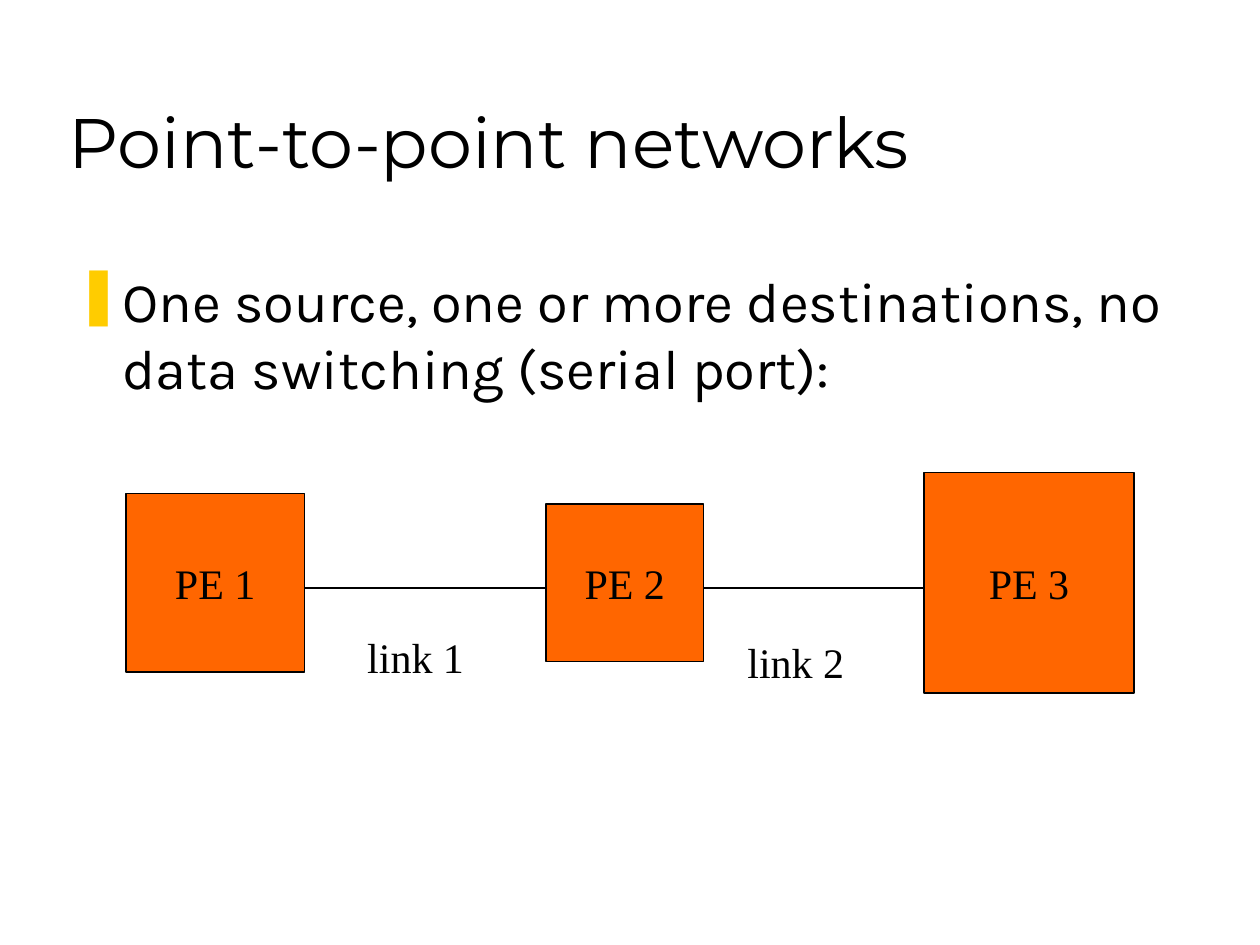
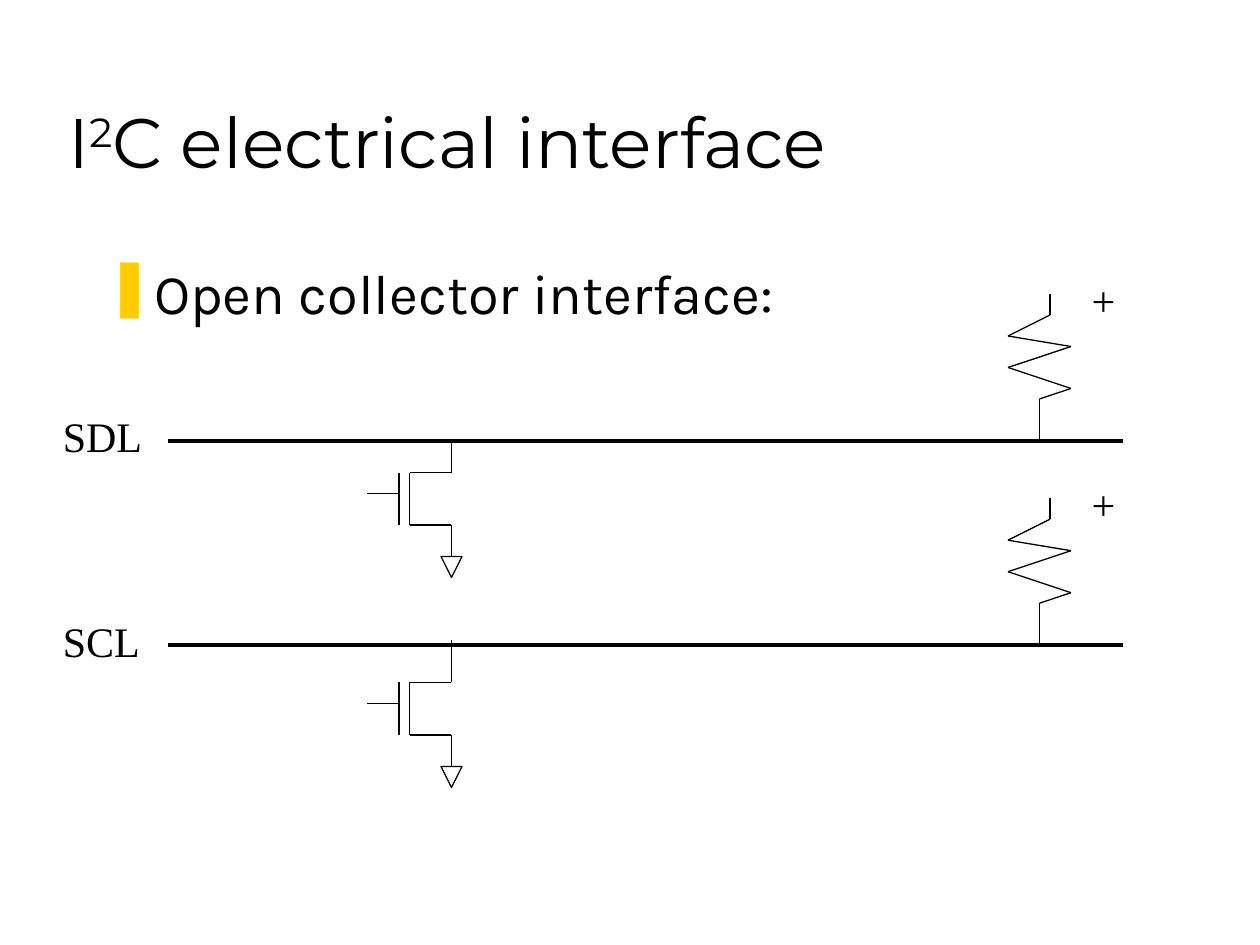
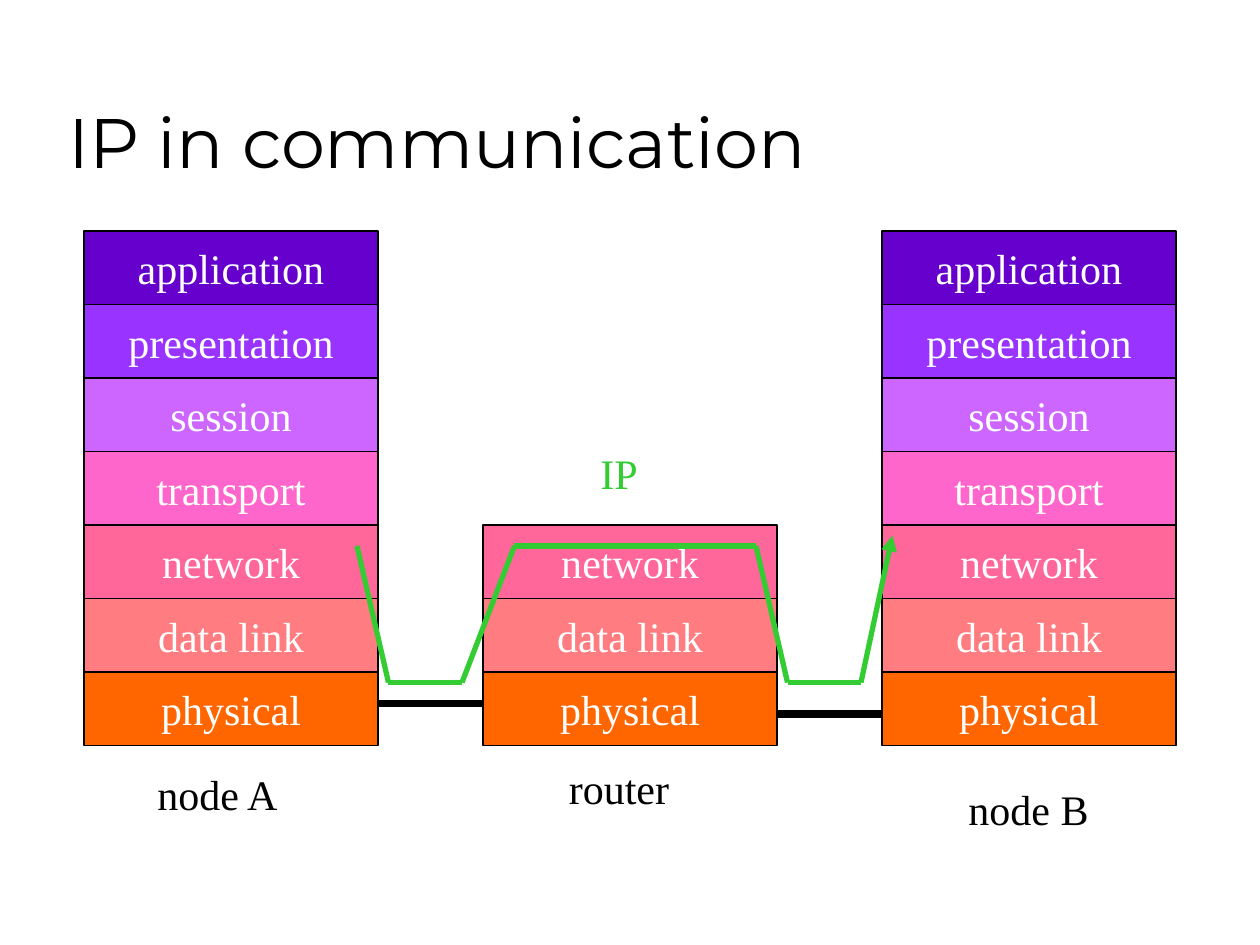
from itertools import pairwise

from lxml import etree
from pptx import Presentation
from pptx import util as u
from pptx.dml.color import RGBColor
from pptx.enum import shapes, text
from pptx.oxml import ns

BLACK = RGBColor(0x00, 0x00, 0x00)
WHITE = RGBColor(0xFF, 0xFF, 0xFF)
ORANGE = RGBColor(0xFF, 0x66, 0x00)
YELLOW = RGBColor(0xFF, 0xCC, 0x00)
GREEN = RGBColor(0x33, 0xCC, 0x33)

TITLE_FONT, BODY_FONT, LABEL_FONT = "Montserrat", "Karla", "Times New Roman"
TITLE_SIZE, BODY_SIZE, LABEL_SIZE = 40, 32, 24
THIN, WIRE, PATH, CABLE = 0.75, 2.25, 3, 4.5

SLIDE_WIDTH, SLIDE_HEIGHT = u.Cm(25.4), u.Cm(19.05)
GRID_COLUMNS = 120
STEP = SLIDE_WIDTH / GRID_COLUMNS
TITLE_AREA = (5.33, 3, 102, 15)
BODY_SIZE_STEPS = (107.25, 54.75)
BULLET_INDENT = u.Cm(0.95)
LABEL_HEIGHT = 6

NETWORK_TITLE = [("Point-to-point networks", 0)]
NETWORK_POINT = "One source, one or more destinations, no data switching (serial port):"
ELEMENTS = [
    ("PE 1", (12, 47, 17, 17)),
    ("PE 2", (52, 48, 15, 15)),
    ("PE 3", (88, 45, 20, 21)),
]
LINK_Y = 56
LINK_LABELS = [("link 1", 33.8, 59.55, 12.2), ("link 2", 70, 60, 12.2)]

INTERFACE_TITLE = [("I", 0), ("2", 30), ("C electrical interface", 0)]
INTERFACE_POINT = "Open collector interface:"
BUS_LINES = [("SDL", 42, 42, 10.6), ("SCL", 61.45, 62, 10.3)]
BUS_LEFT, BUS_RIGHT = 16, 107
RESISTOR = [(99, 0), (99, -4), (102, -5), (96, -7), (102, -9), (96, -10), (100, -12), (100, -14)]
TRANSISTOR = [
    [(43, 0), (43, 3), (39, 3), (39, 8), (43, 8), (43, 11)],
    [(38, 3), (38, 8)],
    [(38, 5), (35, 5)],
]
GROUND = (42, 11, 2, 2)
CLOCK_TAP = [(43, 64), (43, 61)]

IP_TITLE = [("IP in communication", 0)]
LAYERS = [
    ("application", RGBColor(0x66, 0x00, 0xCC)),
    ("presentation", RGBColor(0x99, 0x33, 0xFF)),
    ("session", RGBColor(0xCC, 0x66, 0xFF)),
    ("transport", RGBColor(0xFF, 0x66, 0xCC)),
    ("network", RGBColor(0xFF, 0x66, 0x99)),
    ("data link", RGBColor(0xFF, 0x7C, 0x80)),
    ("physical", ORANGE),
]
STACK_TOP, LAYER_WIDTH, LAYER_HEIGHT = 22, 28, 7
STACKS = [(8, 0), (46, 4), (84, 0)]
CABLE_HEIGHTS = [67, 68]
STACK_LABELS = [
    ("node A", 13.8, 72.6, 14.6),
    ("router", 53, 72, 12.5),
    ("node B", 91.05, 74, 14.6),
]
IP_LABEL = ("IP", 56, 42, 6.5)
IP_ROUTE = [(34, 52), (37, 65), (44, 65), (49, 52), (72, 52), (75, 65), (82, 65), (85, 51)]


def steps(*values):
    return [round(value * STEP) for value in values]


def add_span(para, words, font, size, color, baseline=0):
    span = para.add_run()
    span.text = words
    span.font.name = font
    span.font.size = u.Pt(size)
    span.font.color.rgb = color
    if baseline:
        span._r.get_or_add_rPr().set("baseline", str(baseline * 1000))


def add_frame(page, area):
    frame = page.shapes.add_textbox(*steps(*area)).text_frame
    frame.word_wrap = True
    return frame


def add_page(deck, title):
    page = deck.slides.add_slide(deck.slide_layouts[6])
    frame = add_frame(page, TITLE_AREA)
    frame.vertical_anchor = text.MSO_ANCHOR.BOTTOM
    for words, baseline in title:
        add_span(frame.paragraphs[0], words, TITLE_FONT, TITLE_SIZE, BLACK, baseline)
    return page


def add_point(page, words, left, top):
    para = add_frame(page, (left, top, *BODY_SIZE_STEPS)).paragraphs[0]
    properties = para._p.get_or_add_pPr()
    properties.set("marL", str(BULLET_INDENT))
    properties.set("indent", str(-BULLET_INDENT))
    bullet_color = etree.SubElement(properties, ns.qn("a:buClr"))
    etree.SubElement(bullet_color, ns.qn("a:srgbClr"), val=str(YELLOW))
    etree.SubElement(properties, ns.qn("a:buChar"), char="❚")
    add_span(para, words, BODY_FONT, BODY_SIZE, BLACK)


def add_label(page, words, left, top, width, color=BLACK):
    frame = add_frame(page, (left, top, width, LABEL_HEIGHT))
    add_span(frame.paragraphs[0], words, LABEL_FONT, LABEL_SIZE, color)


def add_outline(page, kind, area, fill):
    shape = page.shapes.add_shape(kind, *steps(*area))
    shape.shadow.inherit = False
    shape.fill.solid()
    shape.fill.fore_color.rgb = fill
    shape.line.color.rgb = BLACK
    shape.line.width = u.Pt(THIN)
    return shape


def add_block(page, words, area, fill, color):
    frame = add_outline(page, shapes.MSO_SHAPE.RECTANGLE, area, fill).text_frame
    frame.word_wrap = False
    frame.vertical_anchor = text.MSO_ANCHOR.MIDDLE
    para = frame.paragraphs[0]
    para.alignment = text.PP_ALIGN.CENTER
    add_span(para, words, LABEL_FONT, LABEL_SIZE, color)


def add_lines(page, points, width=THIN, color=BLACK, top=0, arrow=False):
    for (x1, y1), (x2, y2) in pairwise(points):
        line = page.shapes.add_connector(
            shapes.MSO_CONNECTOR.STRAIGHT, *steps(x1, y1 + top, x2, y2 + top)
        )
        line.line.color.rgb = color
        line.line.width = u.Pt(width)
        etree.SubElement(line._element.spPr, ns.qn("a:effectLst"))
    if arrow:
        etree.SubElement(line.line._get_or_add_ln(), ns.qn("a:tailEnd"), type="triangle")


def build_network(deck):
    page = add_page(deck, NETWORK_TITLE)
    add_point(page, NETWORK_POINT, 6, 24.75)
    for name, area in ELEMENTS:
        add_block(page, name, area, ORANGE, BLACK)
    for (_, before), (_, after) in pairwise(ELEMENTS):
        add_lines(page, [(before[0] + before[2], LINK_Y), (after[0], LINK_Y)])
    for label in LINK_LABELS:
        add_label(page, *label)


def build_interface(deck):
    page = add_page(deck, INTERFACE_TITLE)
    add_point(page, INTERFACE_POINT, 9, 24)
    for name, bus_y, transistor_y, label_width in BUS_LINES:
        add_lines(page, [(BUS_LEFT, bus_y), (BUS_RIGHT, bus_y)], WIRE)
        add_label(page, name, 4.8, bus_y - 3.45, label_width)
        add_lines(page, RESISTOR, top=bus_y)
        add_label(page, "+", 102.8, bus_y - 16.45, 5.3)
        for part in TRANSISTOR:
            add_lines(page, part, top=transistor_y)
        left, top, width, height = GROUND
        area = (left, top + transistor_y, width, height)
        ground = add_outline(page, shapes.MSO_SHAPE.ISOSCELES_TRIANGLE, area, WHITE)
        ground.rotation = 180
    add_lines(page, CLOCK_TAP)


def build_ip(deck):
    page = add_page(deck, IP_TITLE)
    for left, first_layer in STACKS:
        for row, (name, fill) in enumerate(LAYERS):
            if row >= first_layer:
                area = (left, STACK_TOP + row * LAYER_HEIGHT, LAYER_WIDTH, LAYER_HEIGHT)
                add_block(page, name, area, fill, WHITE)
    for ((before, _), (after, _)), y in zip(pairwise(STACKS), CABLE_HEIGHTS):
        add_lines(page, [(before + LAYER_WIDTH, y), (after, y)], CABLE)
    for label in STACK_LABELS:
        add_label(page, *label)
    add_lines(page, IP_ROUTE, PATH, GREEN, arrow=True)
    add_label(page, *IP_LABEL, color=GREEN)


def main():
    deck = Presentation()
    deck.slide_width, deck.slide_height = SLIDE_WIDTH, SLIDE_HEIGHT
    build_network(deck)
    build_interface(deck)
    build_ip(deck)
    deck.save("out.pptx")


if __name__ == "__main__":
    main()
